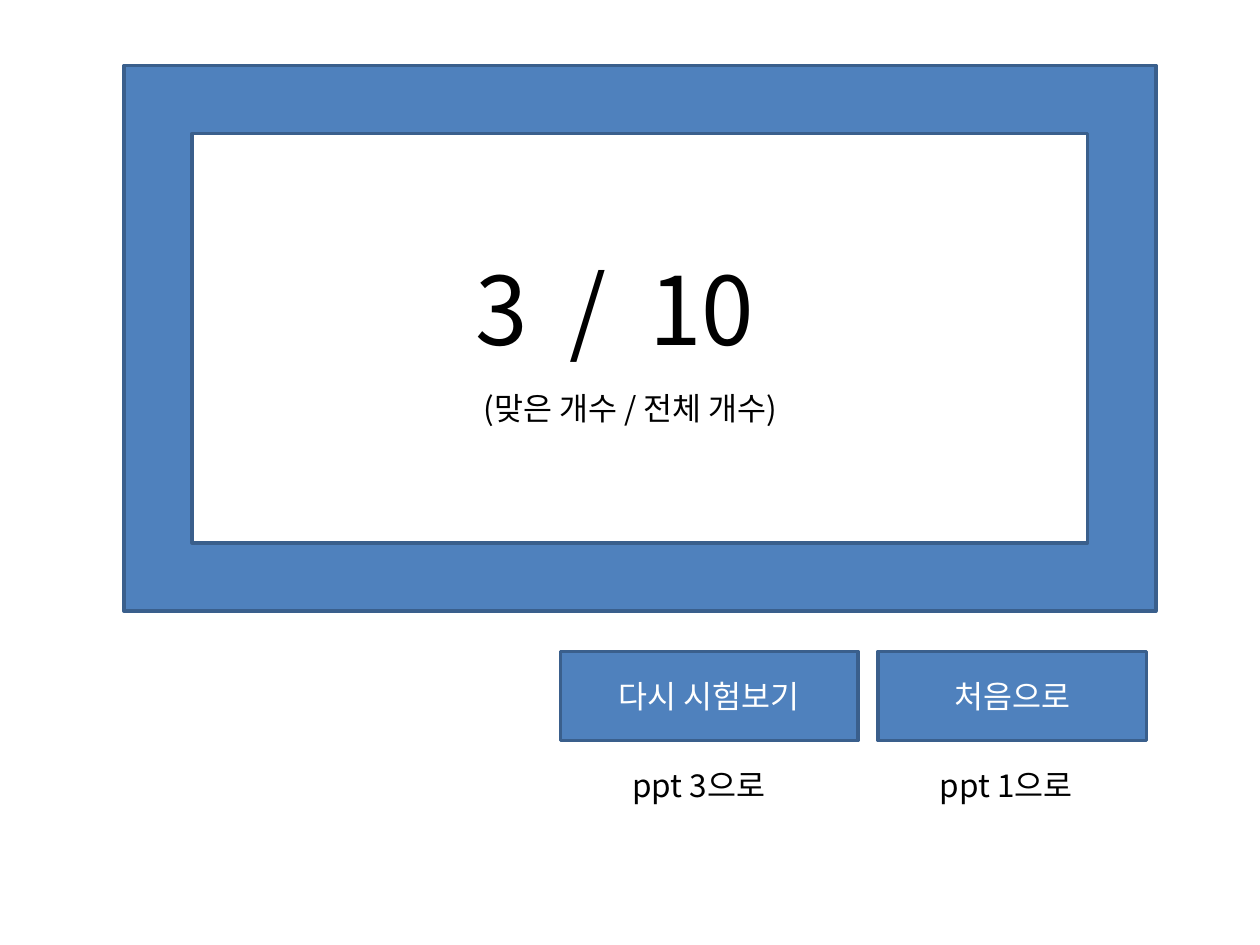
from dataclasses import dataclass

from lxml import etree
from pptx import Presentation
from pptx.dml.color import RGBColor
from pptx.enum.shapes import MSO_SHAPE
from pptx.enum.text import MSO_ANCHOR, MSO_AUTO_SIZE, PP_ALIGN
from pptx.oxml.ns import qn
from pptx.shapes.autoshape import Shape
from pptx.slide import Slide
from pptx.text.text import TextFrame
from pptx.util import Cm, Pt

FRAME, RECT = MSO_SHAPE.FRAME, MSO_SHAPE.RECTANGLE
MIDDLE, CENTER = MSO_ANCHOR.MIDDLE, PP_ALIGN.CENTER
GROW = MSO_AUTO_SIZE.SHAPE_TO_FIT_TEXT


@dataclass(frozen=True)
class Theme:
    font: str = "Noto Sans CJK KR"
    fill: RGBColor = RGBColor(0x4F, 0x81, 0xBD)
    line: RGBColor = RGBColor(0x3A, 0x5F, 0x8C)
    dark: RGBColor = RGBColor(0, 0, 0)
    light: RGBColor = RGBColor(255, 255, 255)
    score: int = 54
    body: int = 18
    edge: int = 2


THEME = Theme()


@dataclass(frozen=True)
class Box:
    """Place and size in centimetres."""
    left: float
    top: float
    width: float
    height: float

    def emu(self) -> tuple[Cm, Cm, Cm, Cm]:
        return Cm(self.left), Cm(self.top), Cm(self.width), Cm(self.height)


@dataclass(frozen=True)
class Note:
    text: str
    box: Box
    size: int = THEME.body
    inset: float = 0.25


@dataclass(frozen=True)
class Button:
    text: str
    left: float
    width: float
    target: str
    start: float


def style(frame: TextFrame, text: str, size: int, color: RGBColor) -> None:
    frame.text = text
    frame.word_wrap = True
    run = frame.paragraphs[0].runs[0]
    run.font.name = THEME.font
    run.font.size = Pt(size)
    run.font.color.rgb = color
    # Korean letters take the East Asian font
    east = etree.SubElement(run.font._element, qn("a:ea"))
    east.set("typeface", THEME.font)


def add_block(slide: Slide, kind: MSO_SHAPE, box: Box) -> Shape:
    shape = slide.shapes.add_shape(kind, *box.emu())
    shape.shadow.inherit = False
    shape.fill.solid()
    shape.fill.fore_color.rgb = THEME.fill
    shape.line.color.rgb = THEME.line
    shape.line.width = Pt(THEME.edge)
    return shape


def add_note(slide: Slide, note: Note) -> None:
    frame = slide.shapes.add_textbox(*note.box.emu()).text_frame
    style(frame, note.text, note.size, THEME.dark)
    frame.margin_left = Cm(note.inset)
    frame.auto_size = GROW


def add_button(slide: Slide, button: Button) -> None:
    box = Box(button.left, 13.13, button.width, 1.8)
    frame = add_block(slide, RECT, box).text_frame
    style(frame, button.text, THEME.body, THEME.light)
    frame.vertical_anchor = MIDDLE
    frame.paragraphs[0].alignment = CENTER
    add_note(slide, Note(button.target, Box(button.start, 15.32, 3.4, 1.02)))


NOTES = (
    Note("3  /  10", Box(8.89, 4.93, 11.61, 2.57), THEME.score, 0.69),
    Note("(맞은 개수 / 전체 개수)", Box(9.5, 7.72, 8.41, 1.02)),
)
BUTTONS = (
    Button("다시 시험보기", 11.3, 6, "ppt 3으로", 12.5),
    Button("처음으로", 17.7, 5.41, "ppt 1으로", 18.7),
)

deck = Presentation()
deck.slide_width, deck.slide_height = Cm(25.4), Cm(19.05)
slide = deck.slides.add_slide(deck.slide_layouts[6])

# Score board
add_block(slide, FRAME, Box(2.5, 1.32, 20.8, 11))
for note in NOTES:
    add_note(slide, note)

# Buttons with their targets
for button in BUTTONS:
    add_button(slide, button)

deck.save("out.pptx")
